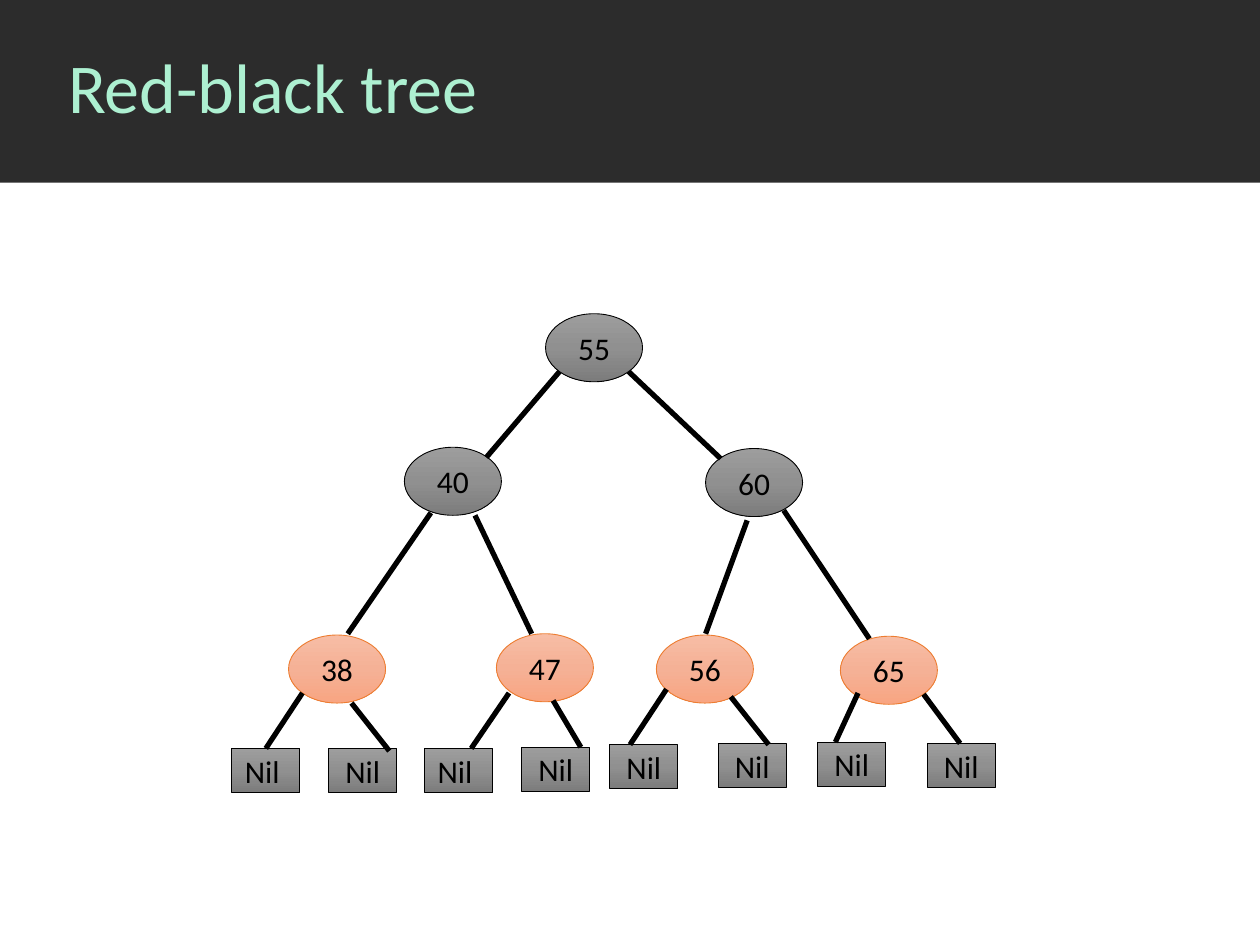
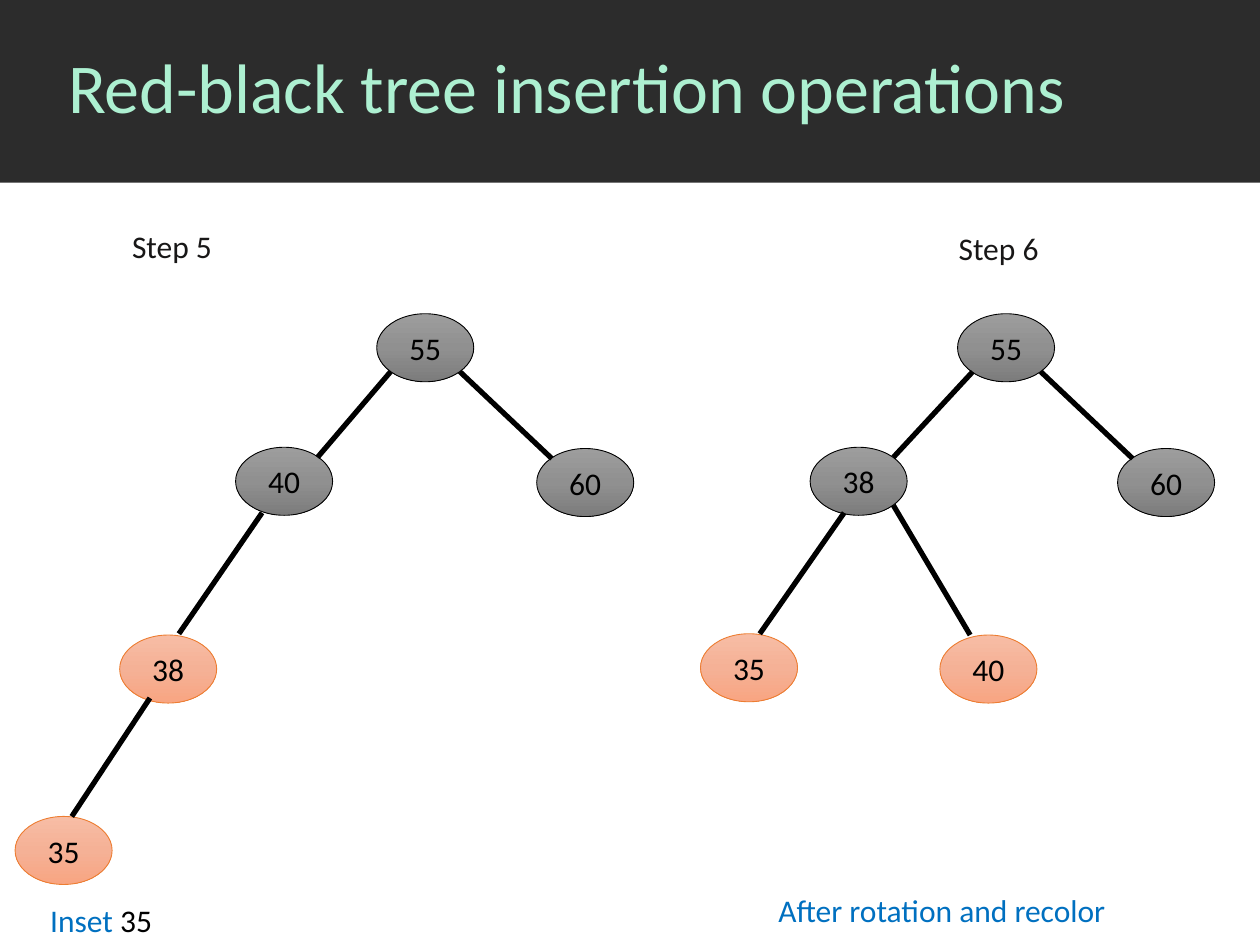
from copy import deepcopy
from lxml.etree import SubElement
from pptx import Presentation
from pptx.dml.color import RGBColor
from pptx.enum.shapes import MSO_CONNECTOR, MSO_SHAPE
from pptx.enum.text import MSO_ANCHOR, MSO_AUTO_SIZE, PP_ALIGN
from pptx.oxml.ns import qn
from pptx.util import Inches, Pt

FONT = "Calibri"
INK, BLUE, STEP_INK = "000000", "0070C0", "181717"
BAND, TITLE_INK = "2C2C2C", "ADF0D1"
KINDS = {
    "black": dict(outline=MSO_SHAPE.OVAL, size=(0.77, 0.54), line="000000",
                  shades=("9D9D9D", "909090", "7C7C7C")),
    "red": dict(outline=MSO_SHAPE.OVAL, size=(0.77, 0.54), line="ED7D31",
                shades=("F7BDA5", "F5B196", "F8A582")),
}
KINDS["nil"] = KINDS["black"] | dict(outline=MSO_SHAPE.RECTANGLE, size=(0.54, 0.35))

# Crown and left branch are measured from the left side of the root node.
CROWN = dict(
    nodes=[("55", "black", 0, 2.49), ("60", "black", 1.27, 3.56)],
    edges=[(0.66, 2.95, 1.39, 3.64)],
)
LEFT_BRANCH = dict(
    nodes=[("40", "black", -1.12, 3.55), ("38", "red", -2.04, 5.04)],
    edges=[(0.11, 2.95, -0.47, 3.63), (-0.91, 4.07, -1.57, 5.03)],
)
ROTATED_BRANCH = dict(
    nodes=[("38", "black", -1.17, 3.55), ("35", "red", -2.04, 5.03),
           ("40", "red", -0.14, 5.04)],
    edges=[(0.12, 2.95, -0.51, 3.63), (-0.9, 4.07, -1.57, 5.03),
           (-0.51, 4.01, 0.1, 5.04)],
)
INSERTED = dict(
    nodes=[("35", "red", -2.87, 6.48)],
    edges=[(-1.8, 5.54, -2.42, 6.48)],
)
LOWER_TREE = dict(
    nodes=[("47", "red", -0.39, 5.03), ("56", "red", 0.88, 5.04),
           ("65", "red", 2.34, 5.05),
           ("Nil ", "nil", -2.49, 5.94), ("Nil", "nil", -1.72, 5.94),
           ("Nil ", "nil", -0.96, 5.94), ("Nil", "nil", -0.19, 5.93),
           ("Nil", "nil", 0.51, 5.91), ("Nil", "nil", 1.37, 5.9),
           ("Nil", "nil", 2.16, 5.89), ("Nil", "nil", 3.03, 5.9)],
    edges=[(-0.56, 4.09, -0.11, 5.03), (1.6, 4.13, 1.27, 5.03),
           (1.89, 4.05, 2.57, 5.07),
           (-1.93, 5.5, -2.22, 5.94), (-1.54, 5.58, -1.24, 5.96),
           (-0.29, 5.5, -0.59, 5.94), (0.06, 5.56, 0.28, 5.93),
           (0.96, 5.47, 0.67, 5.91), (1.47, 5.53, 1.77, 5.91),
           (2.48, 5.5, 2.3, 5.89), (3.0, 5.51, 3.29, 5.9)],
)
SLIDES = [
    dict(title="Red-black tree",
         trees=[(4.33, [CROWN, LEFT_BRANCH, LOWER_TREE])], captions=[]),
    dict(title="Red-black tree insertion operations",
         trees=[(2.99, [CROWN, LEFT_BRANCH, INSERTED]),
                (7.6, [CROWN, ROTATED_BRANCH])],
         captions=[
             (0.3, 7.1, 3.92, [("Inset", BLUE), (" 35", INK)]),
             (6.08, 7.02, 3.92, [("After rotation and recolor", BLUE)]),
             (0.95, 1.75, 1.14, [("Step 5", STEP_INK)]),
             (7.51, 1.77, 1.14, [("Step 6", STEP_INK)]),
         ]),
]


def rgb(value):
    return RGBColor.from_string(value)


def apply(target, values):
    for name, value in values.items():
        setattr(target, name, value)


def write(paragraph, text, color, size=18):
    run = paragraph.add_run()
    run.text = text
    apply(run.font, dict(name=FONT, size=Pt(size), bold=False))
    run.font.color.rgb = rgb(color)


def shade(shape, colors):
    shape.fill.gradient()
    shape.fill.gradient_angle = 270
    stop_list = shape.element.spPr.find(qn("a:gradFill")).find(qn("a:gsLst"))
    stop_list.append(deepcopy(stop_list[0]))
    for index, (stop, color) in enumerate(zip(shape.fill.gradient_stops, colors)):
        stop.position = index / 2
        stop.color.rgb = rgb(color)


def add_node(slide, text, kind, left, top):
    look = KINDS[kind]
    node = slide.shapes.add_shape(
        look["outline"], *map(Inches, (left, top, *look["size"])))
    node.shadow.inherit = False
    shade(node, look["shades"])
    node.line.color.rgb = rgb(look["line"])
    node.line.width = Pt(0.5)
    node.text_frame.vertical_anchor = MSO_ANCHOR.MIDDLE
    label = node.text_frame.paragraphs[0]
    label.alignment = PP_ALIGN.CENTER
    write(label, text, INK)


def add_edge(slide, *ends):
    edge = slide.shapes.add_connector(MSO_CONNECTOR.STRAIGHT, *map(Inches, ends))
    edge.line.color.rgb = rgb(INK)
    edge.line.width = Pt(3)
    SubElement(edge.element.spPr, qn("a:effectLst"))


def add_tree(slide, root, parts):
    for part in parts:
        for text, kind, left, top in part["nodes"]:
            add_node(slide, text, kind, root + left, top)
    for part in parts:
        for x1, y1, x2, y2 in part["edges"]:
            add_edge(slide, root + x1, y1, root + x2, y2)


def add_caption(slide, left, top, width, runs):
    frame = slide.shapes.add_textbox(*map(Inches, (left, top, width, 0.4))).text_frame
    apply(frame, dict(word_wrap=True, auto_size=MSO_AUTO_SIZE.SHAPE_TO_FIT_TEXT))
    for text, color in runs:
        write(frame.paragraphs[0], text, color)


def add_title(slide, text):
    title = slide.shapes.title
    apply(title, dict(left=Inches(0.44), top=Inches(0),
                      width=Inches(9.56), height=Inches(1.44)))
    apply(title.text_frame, dict(vertical_anchor=MSO_ANCHOR.MIDDLE,
                                 auto_size=MSO_AUTO_SIZE.NONE, word_wrap=True))
    heading = title.text_frame.paragraphs[0]
    apply(heading, dict(alignment=PP_ALIGN.LEFT, line_spacing=0.9))
    write(heading, text, TITLE_INK, 40)


def add_band(slide):
    band = slide.shapes.add_shape(
        MSO_SHAPE.RECTANGLE, 0, 0, Inches(10), Inches(1.45))
    band.shadow.inherit = False
    band.fill.solid()
    band.fill.fore_color.rgb = rgb(BAND)
    band.line.fill.background()
    slide.slide_layout.shapes.element.insert(2, band.element)


def main():
    deck = Presentation()
    apply(deck, dict(slide_width=Inches(10), slide_height=Inches(7.5)))
    title_only = deck.slide_layouts[5]
    for content in SLIDES:
        slide = deck.slides.add_slide(title_only)
        add_title(slide, content["title"])
        for root, parts in content["trees"]:
            add_tree(slide, root, parts)
        for caption in content["captions"]:
            add_caption(slide, *caption)
    add_band(deck.slides[0])
    deck.save("out.pptx")


if __name__ == "__main__":
    main()
